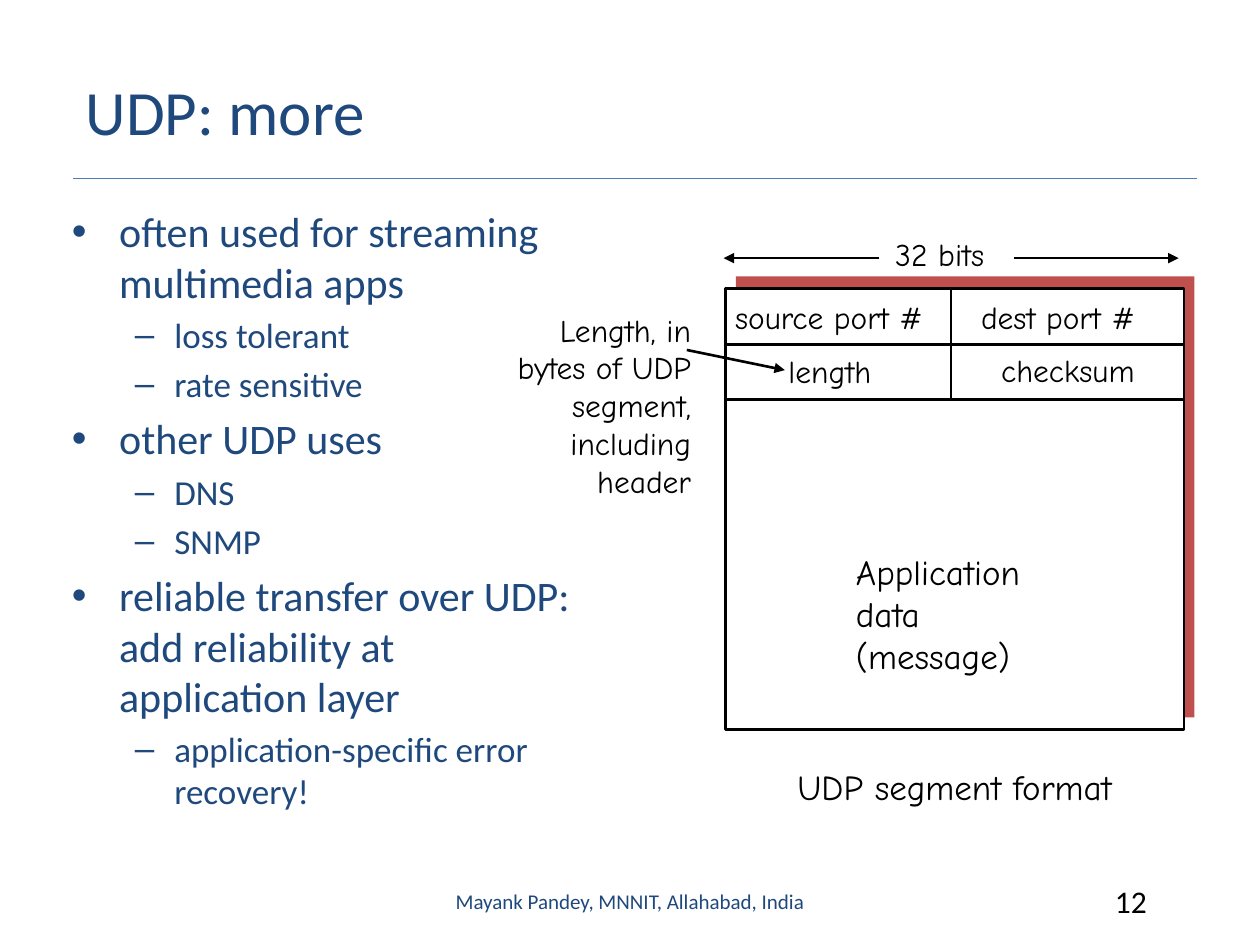
from lxml.etree import SubElement
from pptx import Presentation
from pptx.dml.color import RGBColor
from pptx.enum.shapes import MSO_CONNECTOR as Connector, MSO_SHAPE as Shape
from pptx.enum.text import MSO_ANCHOR as Anchor, PP_ALIGN as Align
from pptx.oxml.ns import qn
from pptx.util import Pt

NAVY = "1F497D"
BLACK = "000000"
RULE_BLUE = "4B7EBC"
SHADE_RED = "C0504D"
WHITE = "FFFFFF"
BODY_FONT = "Calibri"
LABEL_FONT = "Comic Neue"

LEVELS = [
    {"size": 24, "bullet": "•", "margin": 27, "indent": -27},
    {"size": 20, "bullet": "–", "margin": 58.5, "indent": -22.5},
]
POINTS = [
    (0, "often used for streaming multimedia apps"),
    (1, "loss tolerant"),
    (1, "rate sensitive"),
    (0, "other UDP uses"),
    (1, "DNS"),
    (1, "SNMP"),
    (0, "reliable transfer over UDP: add reliability at application layer"),
    (1, "application-specific error recovery!"),
]


def color(hex_code):
    return RGBColor.from_string(hex_code)


def style(paragraph, size, font, ink):
    paragraph.font.size = Pt(size)
    paragraph.font.name = font
    paragraph.font.color.rgb = color(ink)


def add_frame(slide, box, anchor=Anchor.TOP):
    frame = slide.shapes.add_textbox(*map(Pt, box)).text_frame
    frame.word_wrap = True
    frame.vertical_anchor = anchor
    return frame


def add_text(slide, box, text, size=18, font=LABEL_FONT, ink=BLACK,
             align=Align.LEFT, anchor=Anchor.TOP):
    frame = add_frame(slide, box, anchor)
    for index, line in enumerate(text.split("\n")):
        paragraph = frame.add_paragraph() if index else frame.paragraphs[0]
        paragraph.text = line
        paragraph.alignment = align
        style(paragraph, size, font, ink)


def add_line(slide, x1, y1, x2, y2, ink=BLACK, width=1.5, arrow=False):
    line = slide.shapes.add_connector(
        Connector.STRAIGHT, Pt(x1), Pt(y1), Pt(x2), Pt(y2))
    line.line.color.rgb = color(ink)
    line.line.width = Pt(width)
    properties = line._element.spPr
    if arrow:
        SubElement(line.line._get_or_add_ln(), qn("a:tailEnd"), type="triangle")
    SubElement(properties, qn("a:effectLst"))


def add_rect(slide, box, fill, outline=None):
    rect = slide.shapes.add_shape(Shape.RECTANGLE, *map(Pt, box))
    rect.shadow.inherit = False
    rect.fill.solid()
    rect.fill.fore_color.rgb = color(fill)
    if outline:
        rect.line.color.rgb = color(outline)
        rect.line.width = Pt(1.5)
    else:
        rect.line.fill.background()


def add_header(slide, left, top, width, height):
    rule_y = top + height - 6
    add_line(slide, left, rule_y, left + 642, rule_y, RULE_BLUE, 0.75)
    add_text(slide, (left, top, width, height), "UDP: more", size=36,
             font=BODY_FONT, ink=NAVY, anchor=Anchor.MIDDLE)


def add_bullets(slide, box):
    frame = add_frame(slide, box)
    for index, (depth, text) in enumerate(POINTS):
        level = LEVELS[depth]
        paragraph = frame.add_paragraph() if index else frame.paragraphs[0]
        paragraph.text = text
        paragraph.level = depth
        if index:
            paragraph.space_before = Pt(level["size"] * 0.2)
        properties = paragraph._p.get_or_add_pPr()
        properties.set("marL", str(Pt(level["margin"])))
        properties.set("indent", str(Pt(level["indent"])))
        SubElement(properties, qn("a:buFont"), typeface="Arial")
        SubElement(properties, qn("a:buChar"), char=level["bullet"])
        style(paragraph, level["size"], BODY_FONT, NAVY)


def add_segment(slide, left, top, width, height):
    row = 31.7
    middle, right = left + 129, left + width
    add_rect(slide, (left + 6, top - 7, width, height), SHADE_RED)
    add_rect(slide, (left, top, width, height), WHITE, BLACK)
    for index in (1, 2):
        add_line(slide, left, top + index * row, right, top + index * row)
    add_line(slide, middle, top, middle, top + 2 * row)

    ruler_y = top - 17.5
    add_line(slide, left + 88, ruler_y, left - 1, ruler_y, arrow=True)
    add_line(slide, left + 165, ruler_y, right - 3, ruler_y, arrow=True)

    labels = [
        ("32 bits", 90, -34, 75, 29, 18),
        ("source port #", -1.5, 2, 132, 29, 18),
        ("dest port #", 139, 2, 115, 29, 18),
        ("length", 29, 32.5, 67, 29, 18),
        ("checksum", 150.5, 32, 95, 29, 18),
        ("Application\ndata\n(message)", 67.5, 146, 118, 79, 20),
        ("UDP segment format", 34, 269, 209, 31, 20),
    ]
    for text, x, y, label_width, label_height, size in labels:
        add_text(slide, (left + x, top + y, label_width, label_height), text, size=size)


def add_length_note(slide, left, top, width, height):
    add_text(slide, (left, top, width, height),
             "Length, in\nbytes of UDP\nsegment,\nincluding\nheader", align=Align.RIGHT)
    add_line(slide, left + 117.5, top + 26, left + 173.5, top + 37.5, arrow=True)


def add_footer(slide, left, top, width, height):
    add_text(slide, (left, top, 228, height), "Mayank Pandey, MNNIT, Allahabad, India",
             size=12, font=BODY_FONT, ink=NAVY, align=Align.CENTER, anchor=Anchor.MIDDLE)
    add_text(slide, (left + width - 54, top, 54, height), "12", font=BODY_FONT)


def main():
    deck = Presentation()
    deck.slide_width, deck.slide_height = Pt(720), Pt(540)
    slide = deck.slides.add_slide(deck.slide_layouts[6])
    add_header(slide, 42, 18, 657, 90)
    add_bullets(slide, (34, 114, 300, 408))
    add_segment(slide, 414.5, 165, 262, 252)
    add_length_note(slide, 275, 174, 127, 115)
    add_footer(slide, 246, 500.5, 438, 29)
    deck.save("out.pptx")


if __name__ == "__main__":
    main()
